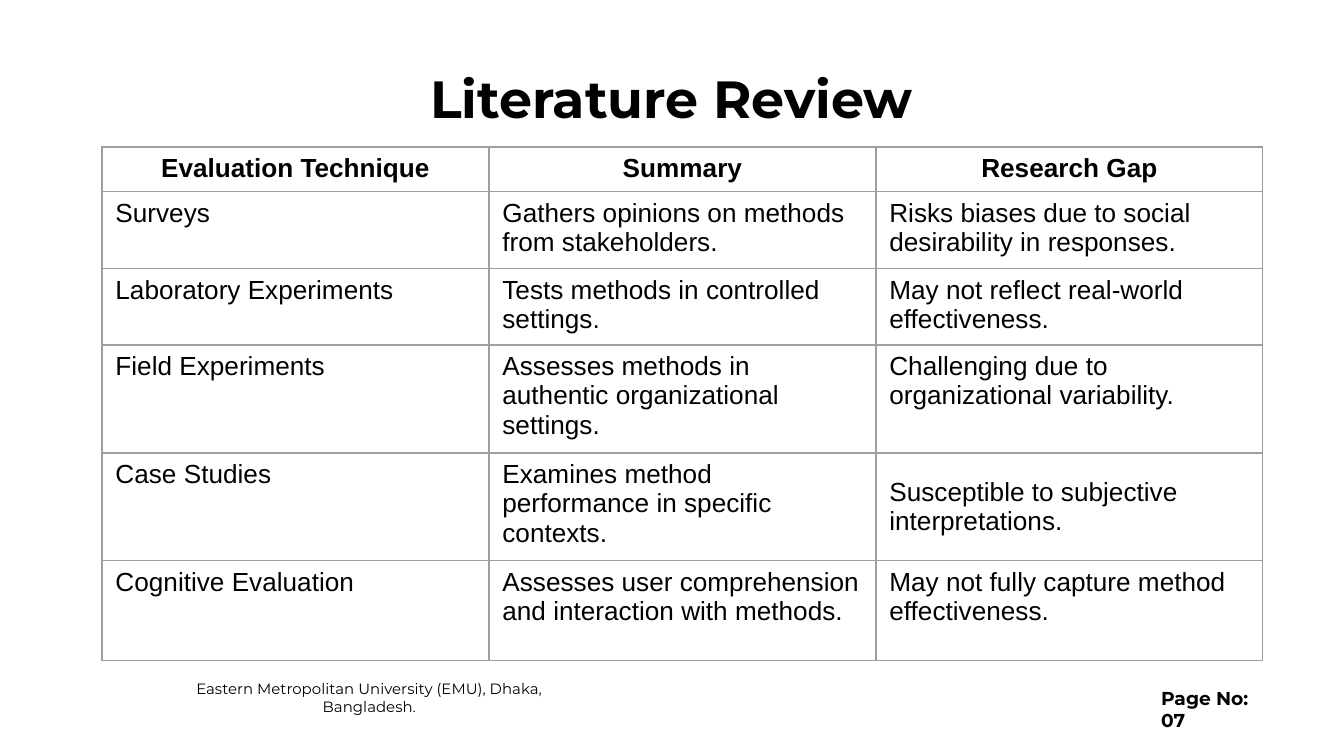
from dataclasses import dataclass

from lxml.etree import SubElement
from pptx import Presentation
from pptx.dml.color import RGBColor
from pptx.enum.text import MSO_ANCHOR as Anchor, PP_ALIGN as Align
from pptx.oxml.ns import qn
from pptx.util import Pt

HEADERS = ["Evaluation Technique", "Summary", "Research Gap"]
TECHNIQUES = [
    ("Surveys", "Gathers opinions on methods from stakeholders.",
     "Risks biases due to social desirability in responses."),
    ("Laboratory Experiments", "Tests methods in controlled settings.",
     "May not reflect real-world effectiveness."),
    ("Field Experiments", "Assesses methods in authentic organizational settings.",
     "Challenging due to organizational variability."),
    ("Case Studies", "Examines method performance in specific contexts.",
     "Susceptible to subjective interpretations."),
    ("Cognitive Evaluation", "Assesses user comprehension and interaction with methods.",
     "May not fully capture method effectiveness."),
]
MIDDLE_CELLS = {(4, 2)}
ROW_HEIGHTS = [44, 77, 76, 108, 107, 100]
COLUMN_WIDTH = 387
TABLE_LEFT, TABLE_TOP = 102, 147
INSET = 13


@dataclass(frozen=True)
class Theme:
    ink: RGBColor = RGBColor.from_string("000000")
    rule: str = "9E9E9E"
    rule_width: float = 0.75
    display: str = "Montserrat"
    body: str = "Arial"
    title_size: int = 28
    cell_size: int = 14
    page_size: int = 10
    footer_size: int = 8


THEME = Theme()


def px(length):
    return round(length * 914400 / 134.4)


def write(frame, text, font, size, bold=False, align=Align.LEFT):
    para = frame.paragraphs[0]
    para.alignment = align
    span = para.add_run()
    span.text = text
    span.font.name = font
    span.font.size = Pt(size)
    span.font.bold = bold
    span.font.color.rgb = THEME.ink
    return para


def add_text(page, place, text, size, bold=False, align=Align.LEFT,
             anchor=Anchor.TOP, inset=None):
    frame = page.shapes.add_textbox(*map(px, place)).text_frame
    frame.word_wrap = True
    frame.vertical_anchor = anchor
    if inset is not None:
        frame.margin_left = frame.margin_right = px(inset)
        frame.margin_top = frame.margin_bottom = px(inset)
    return write(frame, text, THEME.display, size, bold, align)


def add_borders(cell):
    properties = cell._tc.get_or_add_tcPr()
    for index, side in enumerate(("lnL", "lnR", "lnT", "lnB")):
        line = SubElement(properties, qn(f"a:{side}"), w=str(Pt(THEME.rule_width)))
        fill = SubElement(line, qn("a:solidFill"))
        SubElement(fill, qn("a:srgbClr"), val=THEME.rule)
        properties.insert(index, line)


def add_review_table(page):
    rows = [HEADERS, *TECHNIQUES]
    place = (TABLE_LEFT, TABLE_TOP, COLUMN_WIDTH * len(HEADERS), sum(ROW_HEIGHTS))
    table = page.shapes.add_table(len(rows), len(HEADERS), *map(px, place)).table
    table.first_row = table.horz_banding = False
    for column in table.columns:
        column.width = px(COLUMN_WIDTH)
    for row_index, texts in enumerate(rows):
        table.rows[row_index].height = px(ROW_HEIGHTS[row_index])
        heading = row_index == 0
        for column_index, text in enumerate(texts):
            cell = table.cell(row_index, column_index)
            cell.fill.background()
            add_borders(cell)
            if (row_index, column_index) in MIDDLE_CELLS:
                cell.vertical_anchor = Anchor.MIDDLE
            write(cell.text_frame, text, THEME.body, THEME.cell_size, heading,
                  Align.CENTER if heading else Align.LEFT)


def main():
    deck = Presentation()
    deck.slide_width, deck.slide_height = px(1344), px(756)
    page = deck.slides.add_slide(deck.slide_layouts[6])
    add_text(page, (137, 685, 465, 25),
             "Eastern Metropolitan University (EMU), Dhaka, Bangladesh.",
             THEME.footer_size, align=Align.CENTER, anchor=Anchor.MIDDLE, inset=INSET)
    add_text(page, (1148, 680, 140, 36), "Page No: 07", THEME.page_size, bold=True)
    title = add_text(page, (66, 60, 1211, 82), "Literature Review",
                     THEME.title_size, bold=True, align=Align.CENTER, inset=INSET)
    title.line_spacing = 0.9
    add_review_table(page)
    deck.save("out.pptx")


if __name__ == "__main__":
    main()
